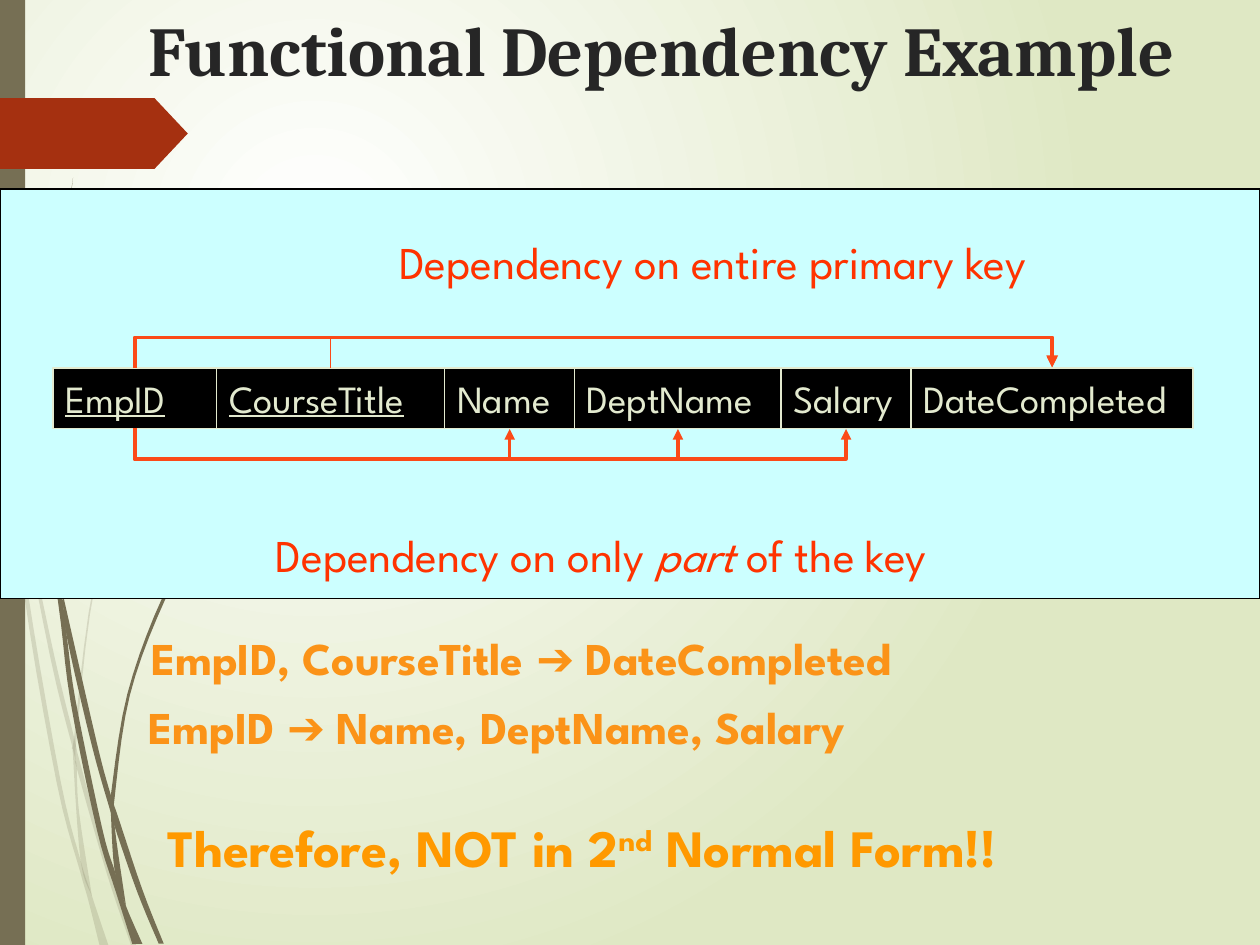
import itertools

import pptx
import pptx.dml.color
import pptx.enum.shapes
import pptx.enum.text
import pptx.oxml
import pptx.oxml.ns
import pptx.util

PX = 9144  # EMU per px, 100 px to the inch
COLORS = {
    "white": "FFFFFF", "sage": "DFE8C4", "olive": "766F54", "rust": "A53010",
    "title": "262626", "panel": "CCFFFF", "black": "000000", "field": "E3EACF",
    "caption": "FF3300", "arrow": "FB4A18", "rule": "FB9318", "verdict": "FF9900",
}
SHAPES = pptx.enum.shapes.MSO_SHAPE
ANCHOR = pptx.enum.text.MSO_ANCHOR
BODY_FONT = "League Spartan"

# Right and left edges of each grass stalk
PALE_STALKS = [
    ([(0, 282), (6, 322), (8, 350), (12, 376), (22, 469), (48, 619), (64, 683), (73, 711), (86, 750)],
     [(0, 299), (8, 350), (19, 470), (45, 621), (64, 693), (70, 714), (79, 750)]),
    ([(10, 345), (19, 404), (43, 520), (59, 586), (64, 607), (88, 692), (108, 750)],
     [(10, 345), (12, 376), (40, 522), (59, 599), (61, 610), (85, 694), (104, 750)]),
    ([(217, 153), (187, 198), (159, 245), (111, 349), (76, 462), (61, 584), (61, 610), (63, 646), (73, 711)],
     [(217, 153), (186, 197), (158, 244), (110, 348), (75, 461), (59, 584), (58, 599), (64, 683), (73, 711)]),
]
DARK_STALKS = [
    ([(3, 0), (4, 48), (6, 109), (15, 232), (30, 355), (45, 453), (53, 505), (60, 556), (81, 657), (91, 691),
      (100, 719), (113, 749)],
     [(2, 0), (3, 48), (5, 110), (14, 233), (27, 355), (46, 477), (56, 557), (77, 659), (92, 708), (105, 749)]),
    ([(50, 472), (77, 590), (88, 631), (94, 649), (113, 706), (130, 749)],
     [(50, 472), (53, 505), (73, 592), (88, 645), (91, 656), (109, 708), (126, 749)]),
    ([(216, 344), (191, 374), (169, 406), (131, 476), (103, 552), (91, 633), (91, 656), (100, 719)],
     [(215, 344), (191, 373), (168, 405), (129, 474), (101, 551), (88, 631), (88, 645), (91, 691), (100, 719)]),
    ([(58, 141), (52, 193), (48, 245), (44, 349), (48, 453), (53, 505)],
     [(58, 141), (51, 193), (47, 245), (43, 349), (45, 449), (53, 505)]),
]


def emu(*lengths):
    return [pptx.util.Emu(round(length * PX)) for length in lengths]


def rgb(name):
    return pptx.dml.color.RGBColor.from_string(COLORS[name])


def xml(tag, **attributes):
    element = pptx.oxml.parse_xml(f"<{tag} {pptx.oxml.ns.nsdecls('a')}/>")
    for name, value in attributes.items():
        element.set(name, str(value))
    return element


def paint(shape, fill, line=None):
    shape.shadow.inherit = False
    shape.fill.solid()
    shape.fill.fore_color.rgb = rgb(fill)
    if line:
        shape.line.color.rgb = rgb(line)
        shape.line.width = pptx.util.Pt(0.75)
    else:
        shape.line.fill.background()


def add_box(slide, kind, box, fill, line=None):
    shape = slide.shapes.add_shape(kind, *emu(*box))
    paint(shape, fill, line)
    return shape


def style(paragraph, size, color, name=BODY_FONT, bold=False):
    paragraph.alignment = pptx.enum.text.PP_ALIGN.LEFT
    font = paragraph.font
    font.name, font.size, font.bold = name, pptx.util.Pt(size), bold
    font.color.rgb = rgb(color)


def add_text(slide, box, parts, size, color, bold=False):
    frame = slide.shapes.add_textbox(*emu(*box)).text_frame
    frame.word_wrap = False
    paragraph = frame.paragraphs[0]
    for part in parts:
        paragraph.add_run().text = part
    style(paragraph, size, color, bold=bold)
    return paragraph.runs


def smooth(points, steps=5):
    """Sample a Catmull-Rom curve through the points."""
    padded = [points[0], *points, points[-1]]
    curve = []
    for a, b, c, d in zip(padded, padded[1:], padded[2:], padded[3:]):
        for t in (step / steps for step in range(steps)):
            curve.append([
                (2 * q + (r - p) * t + (2 * p - 5 * q + 4 * r - s) * t**2 + (3 * q - p - 3 * r + s) * t**3) / 2
                for p, q, r, s in zip(a, b, c, d)
            ])
    return curve + [points[-1]]


def add_stalk(slide, right, left, opacity):
    outline = [emu(*point) for point in smooth(right) + smooth(left)[::-1]]
    builder = slide.shapes.build_freeform(*outline[0], scale=1.0)
    builder.add_line_segments(outline[1:], close=True)
    stalk = builder.convert_to_shape()
    paint(stalk, "olive")
    if opacity < 100:
        color = stalk._element.spPr.find(".//" + pptx.oxml.ns.qn("a:srgbClr"))
        color.append(xml("a:alpha", val=opacity * 1000))


def add_backdrop(slide, height):
    # Radial glow
    fill = slide.background.fill
    fill.gradient()
    for stop, color, position in zip(fill.gradient_stops, ("white", "sage"), (0, 1)):
        stop.color.rgb = rgb(color)
        stop.position = position
    gradient = slide._element.find(".//" + pptx.oxml.ns.qn("a:gradFill"))
    gradient.remove(gradient.find(pptx.oxml.ns.qn("a:lin")))
    circle = xml("a:path", path="circle")
    circle.append(xml("a:fillToRect", l=50000, t=50000, r=100000, b=100000))
    gradient.append(circle)
    # Grass, side bar and tag
    for stalks, opacity in ((PALE_STALKS, 20), (DARK_STALKS, 100)):
        for right, left in stalks:
            add_stalk(slide, right, left, opacity)
    add_box(slide, SHAPES.RECTANGLE, (0, 0, 20, height), "olive")
    tag = add_box(slide, SHAPES.PENTAGON, (0, 78, 149, 56), "rust")
    tag.adjustments[0] = 0.47


def add_title(slide, box):
    title = slide.shapes.title
    title.left, title.top, title.width, title.height = emu(*box)
    frame = title.text_frame
    frame.text = "Functional Dependency Example"
    frame.vertical_anchor = ANCHOR.TOP
    frame.auto_size = pptx.enum.text.MSO_AUTO_SIZE.NONE
    style(frame.paragraphs[0], 40, "title", "Cambria", bold=True)


def add_bent_arrow(slide, start, end, y, rise, weight):
    """U-shaped arrow between two x positions; a negative rise bends upward."""
    upward = rise < 0
    span, middle = end - start, (start + end) / 2
    connector = slide.shapes.add_connector(pptx.enum.shapes.MSO_CONNECTOR.ELBOW, 0, 0, 0, 0)
    connector.left, connector.top, connector.width, connector.height = emu(middle - 0.5, y - span / 2, 1, span)
    connector.line.color.rgb = rgb("arrow")
    connector.line.width = pptx.util.Pt(weight)
    connector.line._get_or_add_ln().append(xml("a:tailEnd", type="triangle"))
    properties = connector._element.spPr
    properties.append(xml("a:effectLst"))
    frame = properties.find(pptx.oxml.ns.qn("a:xfrm"))
    frame.set("rot", str((90 if upward else 270) * 60000))
    frame.set("flipH", "1")
    if upward:
        frame.set("flipV", "1")
    guides = properties.find(".//" + pptx.oxml.ns.qn("a:avLst"))
    guides.append(xml("a:gd", name="adj1", fmla=f"val {abs(rise) * 100000}"))


def add_diagram(slide, box):
    left, top, width, height = box
    add_box(slide, SHAPES.RECTANGLE, box, "panel", "black")
    # Relation fields
    names = ["EmpID", "CourseTitle", "Name", "DeptName", "Salary", "DateCompleted"]
    edges = [42, 172, 353, 456, 620, 723, 947]
    field_top, field_height = top + 142, 48
    centers = {}
    for name, (start, end) in zip(names, itertools.pairwise(edges)):
        field_box = (left + start, field_top, end - start, field_height)
        field = add_box(slide, SHAPES.RECTANGLE, field_box, "black", "field")
        field.text_frame.text = name
        field.text_frame.vertical_anchor = ANCHOR.MIDDLE
        paragraph = field.text_frame.paragraphs[0]
        style(paragraph, 22, "field")
        paragraph.font.underline = name in names[:2]
        centers[name] = left + (start + end) / 2
    # Captions
    add_text(slide, (left + 307, top + 31, 521, 53), ["Dependency on entire primary key"], 26, "caption")
    parts = ["Dependency on only ", "part", " of the key"]
    runs = add_text(slide, (left + 209, top + 263, 541, 53), parts, 26, "caption")
    runs[1].font.italic = True
    # Dependency arrows
    for key, weight in (("EmpID", 2.25), ("CourseTitle", 0.75)):
        add_bent_arrow(slide, centers[key], centers["DateCompleted"], field_top, -25, weight)
    for name in names[2:5]:
        add_bent_arrow(slide, centers["EmpID"], centers[name], field_top + field_height, 25, 2)


def add_conclusion(slide, box):
    left, top, width, height = box
    add_text(slide, (left + 2, top, 632, 53), ["EmpID, CourseTitle ➔ DateCompleted"], 26, "rule", True)
    add_text(slide, (left, top + 55, 582, 53), ["EmpID ➔ Name, DeptName, Salary"], 26, "rule", True)
    parts = ["Therefore, NOT in 2", "nd", " Normal Form!!"]
    runs = add_text(slide, (left + 15, top + 147, 702, 60), parts, 30, "verdict", True)
    runs[1]._r.get_or_add_rPr().set("baseline", "30000")


def main():
    presentation = pptx.Presentation()
    presentation.slide_width, presentation.slide_height = emu(1000, 750)
    slide = presentation.slides.add_slide(presentation.slide_layouts[5])
    add_backdrop(slide, 750)
    add_title(slide, (108, 0, 925, 125))
    add_diagram(slide, (0, 150, 1000, 325))
    add_conclusion(slide, (108, 495, 717, 207))
    presentation.save("out.pptx")


if __name__ == "__main__":
    main()
